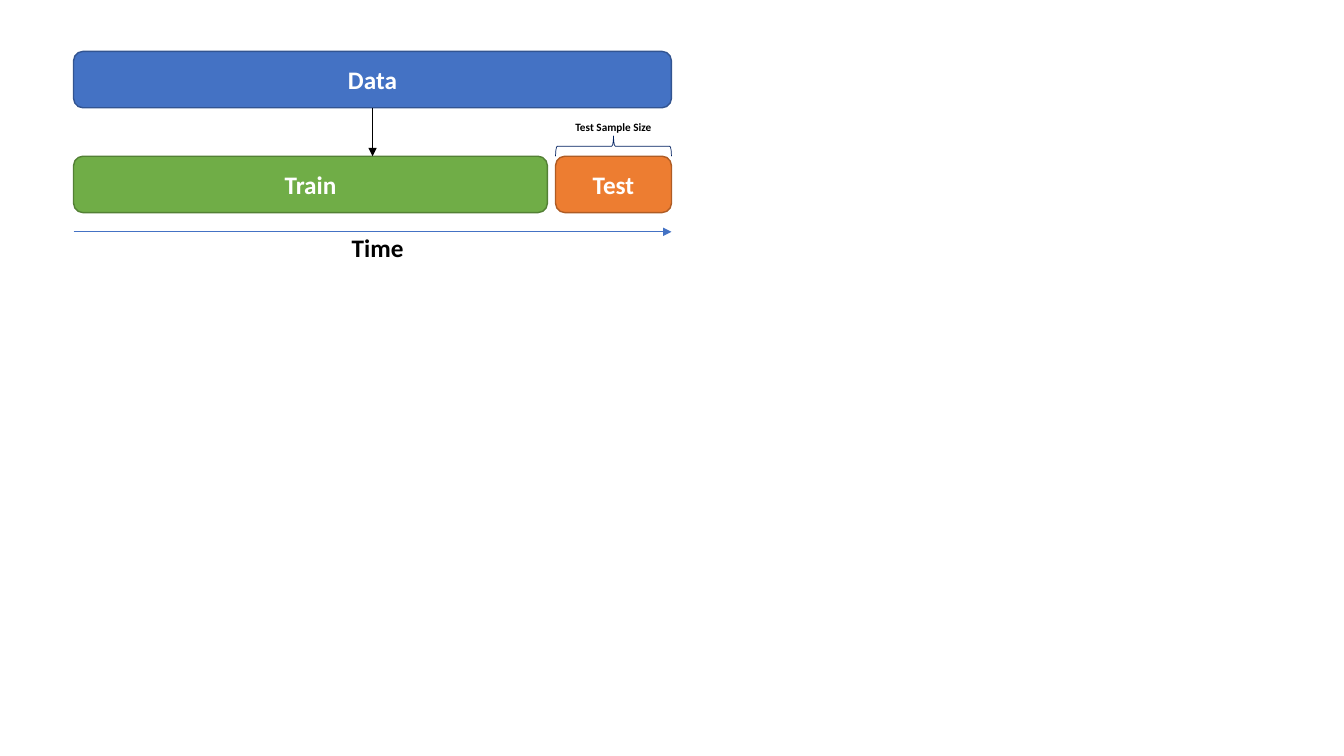
"""Build a slide that shows a train and test split over time."""
from lxml import etree
from pptx import Presentation
from pptx.dml.color import RGBColor
from pptx.enum.shapes import MSO_CONNECTOR, MSO_SHAPE
from pptx.enum.text import MSO_ANCHOR, PP_ALIGN
from pptx.oxml.ns import qn
from pptx.util import Inches, Pt

ROUND = MSO_SHAPE.ROUNDED_RECTANGLE
BRACE = MSO_SHAPE.RIGHT_BRACE
STRAIGHT = MSO_CONNECTOR.STRAIGHT
MIDDLE, TOP = MSO_ANCHOR.MIDDLE, MSO_ANCHOR.TOP
LEFT, CENTER = PP_ALIGN.LEFT, PP_ALIGN.CENTER

COLORS = {
    "blue": "4472C4", "blue_edge": "325491",
    "green": "70AD47", "green_edge": "538035",
    "orange": "ED7D31", "orange_edge": "AF5C24",
    "navy": "002060", "white": "FFFFFF", "black": "000000",
}

START, WIDTH, HEIGHT = 0.73, 5.93, 0.56
END = START + WIDTH
MID = START + WIDTH / 2
DATA_TOP, SPLIT_TOP, TIME_TOP = 0.51, 1.55, 2.3
TEST_WIDTH, GAP = 1.15, 0.08
TRAIN_WIDTH = WIDTH - TEST_WIDTH - GAP
TEST_LEFT = END - TEST_WIDTH
BRACE_DEPTH = 0.2


def color(name):
    """Return the named colour."""
    return RGBColor.from_string(COLORS[name])


def stroke(item, name, width):
    """Set the line colour and width of a shape or connector."""
    item.line.color.rgb = color(name)
    item.line.width = Pt(width)


def write(shape, text, size=18, ink="black", align=CENTER, anchor=TOP):
    """Put bold text into a shape."""
    frame = shape.text_frame
    frame.word_wrap = True
    frame.vertical_anchor = anchor
    para = frame.paragraphs[0]
    para.alignment = align
    run = para.add_run()
    run.text = text
    run.font.name = "Calibri"
    run.font.size = Pt(size)
    run.font.bold = True
    run.font.color.rgb = color(ink)


def add_bar(slide, text, left, top, width, fill):
    """Add a rounded bar with a centred title."""
    bar = slide.shapes.add_shape(
        ROUND, Inches(left), Inches(top), Inches(width), Inches(HEIGHT))
    bar.shadow.inherit = False
    bar.fill.solid()
    bar.fill.fore_color.rgb = color(fill)
    stroke(bar, fill + "_edge", 1)
    write(bar, text, ink="white", anchor=MIDDLE)


def add_label(slide, text, left, top, width, height, **style):
    """Add a text box."""
    box = slide.shapes.add_textbox(
        Inches(left), Inches(top), Inches(width), Inches(height))
    write(box, text, **style)


def add_arrow(slide, start, end, ink):
    """Add a thin arrow between two points."""
    points = [Inches(value) for value in (*start, *end)]
    arrow = slide.shapes.add_connector(STRAIGHT, *points)
    stroke(arrow, ink, 0.5)
    line = arrow.line._get_or_add_ln()
    etree.SubElement(line, qn("a:tailEnd")).set("type", "triangle")
    etree.SubElement(arrow._element.spPr, qn("a:effectLst"))


def add_brace(slide, left, bottom, width):
    """Add a brace that spans a width and points up."""
    mid_x, mid_y = left + width / 2, bottom - BRACE_DEPTH / 2
    brace = slide.shapes.add_shape(
        BRACE, Inches(mid_x - BRACE_DEPTH / 2), Inches(mid_y - width / 2),
        Inches(BRACE_DEPTH), Inches(width))
    brace.rotation = 270
    brace.shadow.inherit = False
    brace.fill.background()
    stroke(brace, "navy", 0.5)


def main():
    """Build and save the slide."""
    deck = Presentation()
    deck.slide_width, deck.slide_height = Inches(13.33), Inches(7.5)
    slide = deck.slides.add_slide(deck.slide_layouts[6])

    add_bar(slide, "Data", START, DATA_TOP, WIDTH, "blue")
    add_bar(slide, "Train", START, SPLIT_TOP, TRAIN_WIDTH, "green")
    add_bar(slide, "Test", TEST_LEFT, SPLIT_TOP, TEST_WIDTH, "orange")
    add_arrow(slide, (START, TIME_TOP), (END, TIME_TOP), "blue")
    add_label(slide, "Time", 3.39, 2.26, 0.91, 0.4, align=LEFT)
    add_arrow(slide, (MID, DATA_TOP + HEIGHT), (MID, SPLIT_TOP), "black")
    add_brace(slide, TEST_LEFT, SPLIT_TOP, TEST_WIDTH)
    add_label(slide, "Test Sample Size", 5.47, 1.14, 1.23, 0.24, size=8)

    deck.save("out.pptx")


main()
